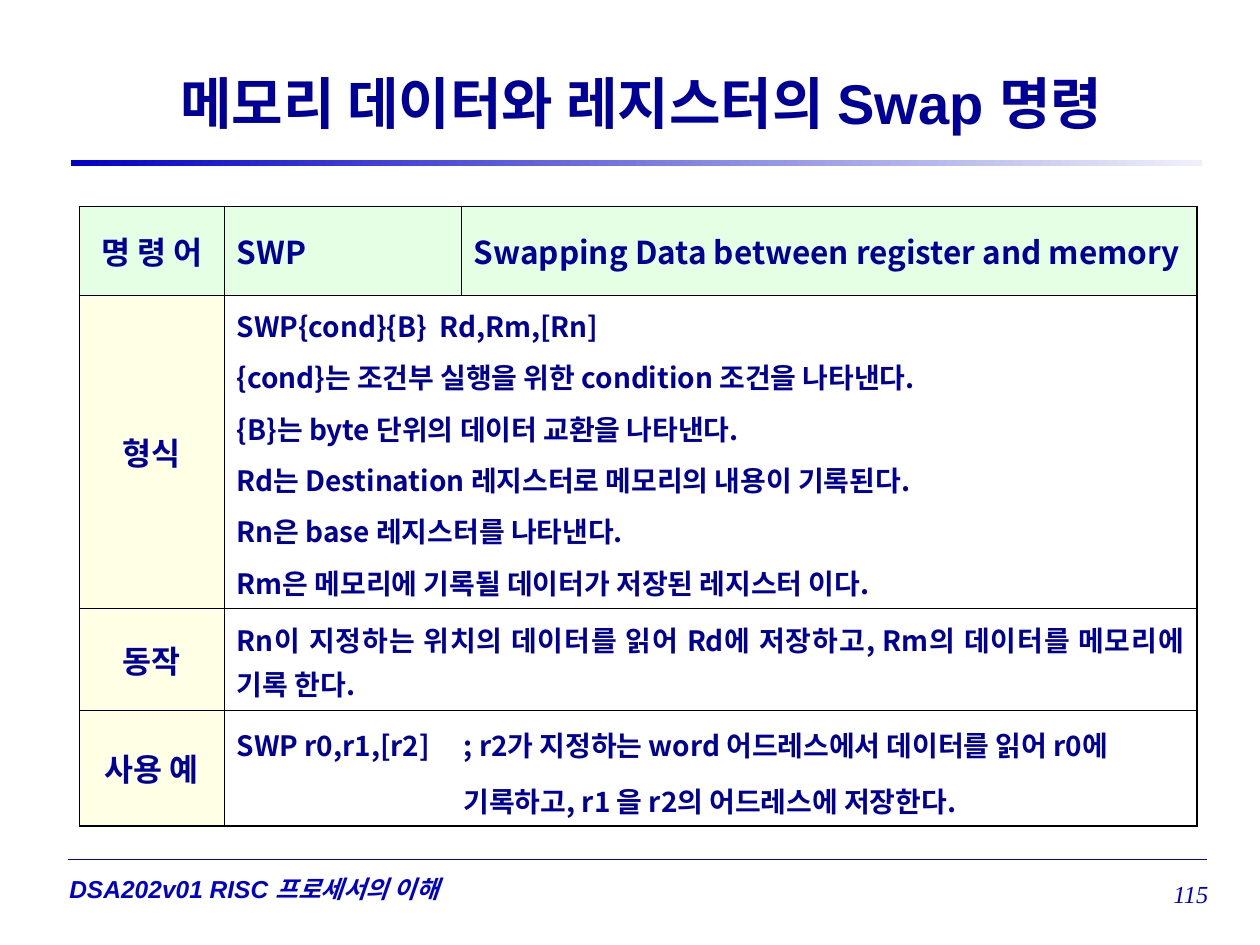
import pptx
import pptx.util
import pptx.dml.color
import pptx.enum.shapes
import pptx.enum.text
import pptx.oxml.ns
import lxml.etree

Inches = pptx.util.Inches
Pt = pptx.util.Pt
ALIGN = pptx.enum.text.PP_ALIGN
MIDDLE = pptx.enum.text.MSO_ANCHOR.MIDDLE
NAVY, BLUE, BLACK = "000099", "0000CC", "000000"
GREEN, YELLOW = "CCFFCC", "FFFFCC"
KOREAN = "Noto Sans CJK KR"
COLUMNS = [1.15, 1.88, 5.84]
ROWS = [0.7, 2.36, 0.76, 0.83]

HEADER = ["명 령 어", "SWP", "Swapping Data between register and memory"]
SECTIONS = [
    ("형식", 1.1, [
        "SWP{cond}{B}  Rd,Rm,[Rn]",
        "{cond}는 조건부 실행을 위한 condition 조건을 나타낸다.",
        "{B}는 byte 단위의 데이터 교환을 나타낸다.",
        "Rd는 Destination 레지스터로 메모리의 내용이 기록된다.",
        "Rn은 base 레지스터를 나타낸다.",
        "Rm은 메모리에 기록될 데이터가 저장된 레지스터 이다.",
    ]),
    ("동작", 1.1, [
        "Rn이 지정하는 위치의 데이터를 읽어 Rd에 저장하고, Rm의 데이터를 메모리에 기록 한다.",
    ]),
    ("사용 예", 1.2, [
        "SWP r0,r1,[r2]\t; r2가 지정하는 word 어드레스에서 데이터를 읽어 r0에",
        "기록하고, r1 을 r2의 어드레스에 저장한다.",
    ]),
]


def rgb(value):
    return pptx.dml.color.RGBColor.from_string(value)


def add_child(parent, tag, **attributes):
    return lxml.etree.SubElement(parent, pptx.oxml.ns.qn(tag), attributes)


def format_paragraph(paragraph, size, font, color=NAVY, bold=True, italic=False,
                     align=ALIGN.LEFT, before=0, spacing=None):
    paragraph.alignment = align
    paragraph.space_before = Pt(before)
    if spacing:
        paragraph.line_spacing = spacing
    for run in paragraph.runs:
        run.font.size = Pt(size)
        run.font.name = font
        run.font.bold = bold
        run.font.italic = italic
        run.font.color.rgb = rgb(color)
        add_child(run.font._element, "a:ea", typeface=KOREAN)


def place_title(slide, left, top, width, height):
    title = slide.shapes.title
    title.left, title.top = Inches(left), Inches(top)
    title.width, title.height = Inches(width), Inches(height)
    title.text_frame.text = "메모리 데이터와 레지스터의 Swap 명령"
    title.text_frame.vertical_anchor = MIDDLE
    format_paragraph(title.text_frame.paragraphs[0], 32, "Arial", align=ALIGN.CENTER)


def add_title_bar(slide, left, top, width, height):
    bar = slide.shapes.add_shape(pptx.enum.shapes.MSO_SHAPE.RECTANGLE, Inches(left),
                                 Inches(top), Inches(width), Inches(height))
    bar.shadow.inherit = False
    bar.line.fill.background()
    bar.fill.gradient()
    bar.fill.gradient_angle = 180
    for stop, color in zip(bar.fill.gradient_stops, ["EFEFFB", BLUE]):
        stop.color.rgb = rgb(color)


def style_cell(cell, row, column, color=None):
    cell.vertical_anchor = MIDDLE
    properties = cell._tc.get_or_add_tcPr()
    outer_edges = {
        "a:lnL": column == 0,
        "a:lnR": column == len(COLUMNS) - 1 or (row > 0 and column == 1),
        "a:lnT": row == 0,
        "a:lnB": row == len(ROWS) - 1,
    }
    for tag, outer in outer_edges.items():
        border = add_child(properties, tag, w=str(Pt(1.08 if outer else 0.45)))
        add_child(add_child(border, "a:solidFill"), "a:srgbClr", val=BLACK)
    if color is None:
        cell.fill.background()
        return
    cell.fill.solid()
    cell.fill.fore_color.rgb = rgb(color)
    cell_fill = properties.find(pptx.oxml.ns.qn("a:solidFill"))
    add_child(cell_fill[0], "a:alpha", val="50000")


def write_label(cell, label):
    cell.text_frame.text = label
    format_paragraph(cell.text_frame.paragraphs[0], 18, "Arial", align=ALIGN.CENTER)


def write_details(cell, lines, spacing):
    cell.text_frame.text = "\n".join(lines)
    for index, paragraph in enumerate(cell.text_frame.paragraphs):
        format_paragraph(paragraph, 16, KOREAN, align=ALIGN.JUSTIFY,
                         before=4 if index else 0, spacing=spacing)


def indent_comment(cell, offset):
    code, comment = cell.text_frame.paragraphs
    tabs = add_child(code._p.get_or_add_pPr(), "a:tabLst")
    add_child(tabs, "a:tab", pos=str(Inches(offset)), algn="l")
    comment._p.get_or_add_pPr().set("marL", str(Inches(offset)))


def add_instruction_table(slide, left, top, width, height):
    frame = slide.shapes.add_table(len(ROWS), len(COLUMNS), Inches(left), Inches(top),
                                   Inches(width), Inches(height))
    table = frame.table
    table.first_row = table.horz_banding = False
    for column, column_width in zip(table.columns, COLUMNS):
        column.width = Inches(column_width)
    for row, row_height in zip(table.rows, ROWS):
        row.height = Inches(row_height)
    for r in range(len(ROWS)):
        for c in range(len(COLUMNS)):
            color = GREEN if r == 0 else YELLOW if c == 0 else None
            style_cell(table.cell(r, c), r, c, color)
    write_label(table.cell(0, 0), HEADER[0])
    for c in (1, 2):
        heading = table.cell(0, c).text_frame
        heading.text = HEADER[c]
        format_paragraph(heading.paragraphs[0], 18, KOREAN)
    for r, (label, spacing, lines) in enumerate(SECTIONS, 1):
        table.cell(r, 1).merge(table.cell(r, 2))
        write_label(table.cell(r, 0), label)
        write_details(table.cell(r, 1), lines, spacing)
    indent_comment(table.cell(len(SECTIONS), 1), 1.8)


def add_footer_text(slide, left, top, width, height, text, margin, size, font, bold, align):
    box = slide.shapes.add_textbox(Inches(left), Inches(top), Inches(width), Inches(height))
    frame = box.text_frame
    frame.word_wrap = True
    frame.vertical_anchor = MIDDLE
    frame.margin_left = frame.margin_right = Inches(margin)
    frame.text = text
    format_paragraph(frame.paragraphs[0], size, font, BLUE, bold, True, align)


def add_footer(slide, left, top, width):
    right = left + width
    rule = slide.shapes.add_connector(pptx.enum.shapes.MSO_CONNECTOR.STRAIGHT,
                                      Inches(left), Inches(top), Inches(right), Inches(top))
    rule.line.color.rgb = rgb(BLUE)
    rule.line.width = Pt(0.75)
    add_child(rule._element.spPr, "a:effectLst")
    add_footer_text(slide, left - 0.01, top + 0.06, 3.87, 0.34,
                    "DSA202v01 RISC 프로세서의 이해", 0.02, 14, "Arial", True, ALIGN.LEFT)
    add_footer_text(slide, right - 0.91, top + 0.02, 0.92, 0.5,
                    "115", 0, 14, "Times New Roman", False, ALIGN.RIGHT)


def main():
    presentation = pptx.Presentation()
    presentation.slide_width, presentation.slide_height = Inches(10), Inches(7.5)
    slide = presentation.slides.add_slide(presentation.slide_layouts[5])
    add_title_bar(slide, 0.56, 1.27, 8.98, 0.05)
    place_title(slide, 0.88, 0.31, 8.42, 1)
    add_instruction_table(slide, 0.63, 1.64, 8.86, 4.64)
    add_footer(slide, 0.54, 6.82, 9.04)
    presentation.save("out.pptx")


if __name__ == "__main__":
    main()
